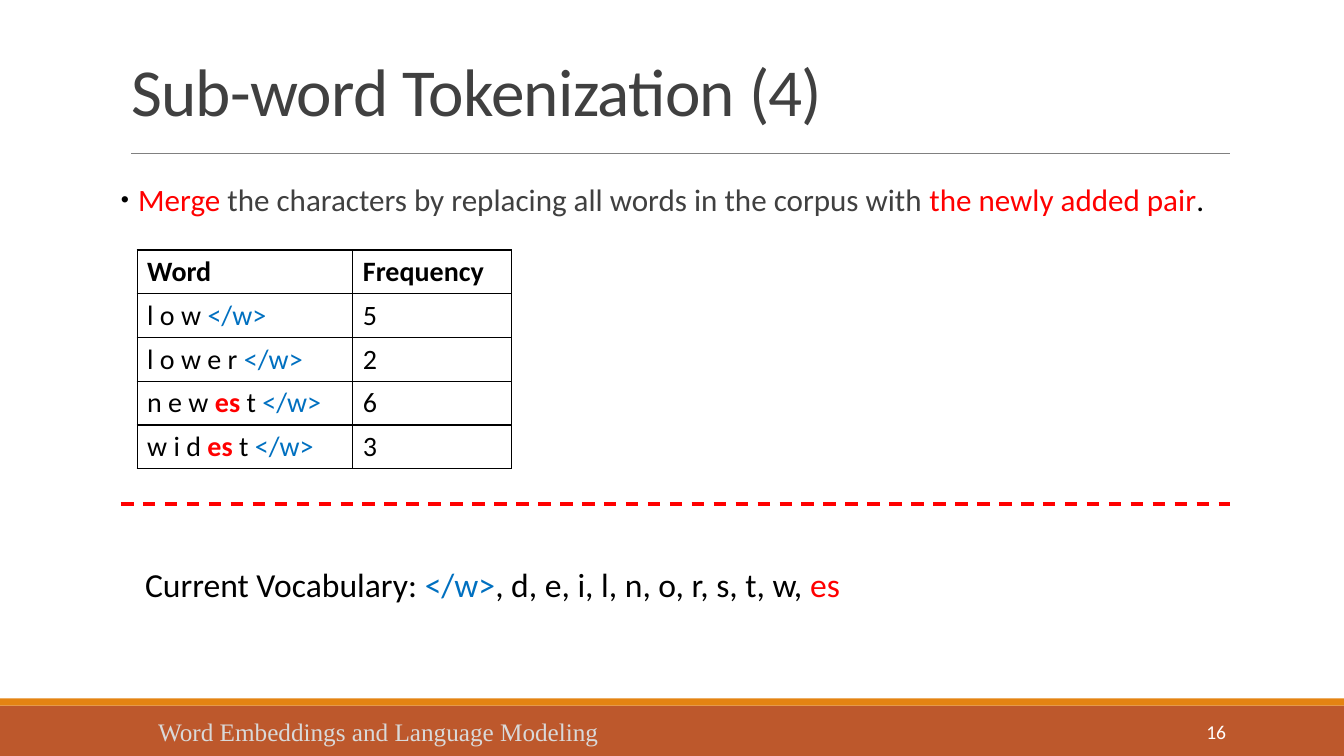
from lxml import etree
from pptx import Presentation
from pptx.dml.color import RGBColor
from pptx.enum.dml import MSO_LINE
from pptx.enum.shapes import MSO_CONNECTOR, MSO_SHAPE
from pptx.enum.text import MSO_ANCHOR, MSO_AUTO_SIZE, PP_ALIGN
from pptx.oxml.ns import qn
from pptx.util import Inches, Pt

STRAIGHT, RECT, DASH = MSO_CONNECTOR.STRAIGHT, MSO_SHAPE.RECTANGLE, MSO_LINE.DASH
TOP, MIDDLE = MSO_ANCHOR.TOP, MSO_ANCHOR.MIDDLE
LEFT, RIGHT = PP_ALIGN.LEFT, PP_ALIGN.RIGHT
NO_FIT = MSO_AUTO_SIZE.NONE

COLORS = {
    "black": "000000", "white": "FFFFFF", "grey": "404040", "rule": "808080",
    "pale": "D9D9D9", "red": "FF0000", "blue": "0070C0",
    "rust": "BD582C", "orange": "E48312",
}
END = ("</w>", "blue")
ES = ("es", "red", True)
WORDS = [
    ([("Word", "black", True)], [("Frequency", "black", True)]),
    ([("l o w ", "black"), END], [("5", "black")]),
    ([("l o w e r ", "black"), END], [("2", "black")]),
    ([("n e w ", "black"), ES, (" t ", "black"), END], [("6", "black")]),
    ([("w i d ", "black"), ES, (" t ", "black"), END], [("3", "black")]),
]


def color(name):
    return RGBColor.from_string(COLORS[name])


def add_runs(p, parts, size, font="Calibri"):
    """Each part is (text, colour name, optional bold)."""
    for text, tint, *bold in parts:
        r = p.add_run()
        r.text = text
        r.font.size, r.font.name = Pt(size), font
        r.font.bold = bool(bold)
        r.font.color.rgb = color(tint)


def add_text(s, box, parts, size, font="Calibri", align=LEFT, anchor=TOP):
    tf = s.shapes.add_textbox(*map(Inches, box)).text_frame
    tf.word_wrap = True
    tf.vertical_anchor = anchor
    p = tf.paragraphs[0]
    p.alignment = align
    add_runs(p, parts, size, font)


def add_bar(s, box, tint):
    bar = s.shapes.add_shape(RECT, *map(Inches, box))
    bar.shadow.inherit = False
    bar.fill.solid()
    bar.fill.fore_color.rgb = color(tint)
    bar.line.fill.background()


def add_rule(s, x1, x2, y, tint, width, dash=None):
    rule = s.shapes.add_connector(
        STRAIGHT, Inches(x1), Inches(y), Inches(x2), Inches(y))
    rule.line.color.rgb = color(tint)
    rule.line.width = Pt(width)
    if dash:
        rule.line.dash_style = dash
    etree.SubElement(rule._element.spPr, qn("a:effectLst"))


def place(ph, box, anchor):
    ph.left, ph.top, ph.width, ph.height = map(Inches, box)
    tf = ph.text_frame
    tf.word_wrap, tf.auto_size, tf.vertical_anchor = True, NO_FIT, anchor
    return tf


def add_title(s, box):
    x, y, w, h = box
    p = place(s.shapes.title, box, MIDDLE).paragraphs[0]
    p.alignment, p.line_spacing = LEFT, 0.85
    add_runs(p, [("Sub-word Tokenization (4)", "grey")], 48)
    p.runs[0].font._element.set("spc", "-50")
    add_rule(s, x + 0.1, x + w, y + h, "rule", 0.5)


def add_bullet(s, box):
    tf = place(s.placeholders[1], box, TOP)
    tf.margin_left = tf.margin_right = 0
    p = tf.paragraphs[0]
    p.line_spacing, p.space_before, p.space_after = 1.5, Pt(12), Pt(2)
    add_runs(p, [
        (" ", "grey"), ("Merge", "red"),
        (" the characters by replacing all words in the corpus with ", "grey"),
        ("the newly added pair", "red"), (".", "black"),
    ], 22.2)
    # Small black bullet with a hanging indent
    pPr = p._p.get_or_add_pPr()
    pPr.set("marL", str(Inches(0.1)))
    pPr.set("indent", str(Inches(-0.1)))
    tint = etree.SubElement(pPr, qn("a:buClr"))
    etree.SubElement(tint, qn("a:srgbClr"), val=COLORS["black"])
    etree.SubElement(pPr, qn("a:buSzPct"), val="75000")
    etree.SubElement(pPr, qn("a:buFont"), typeface="Arial")
    etree.SubElement(pPr, qn("a:buChar"), char="•")


def add_borders(cell):
    tcPr = cell._tc.get_or_add_tcPr()
    for side in ("a:lnL", "a:lnR", "a:lnT", "a:lnB"):
        ln = etree.SubElement(tcPr, qn(side), w=str(Pt(1)))
        fill = etree.SubElement(ln, qn("a:solidFill"))
        etree.SubElement(fill, qn("a:srgbClr"), val=COLORS["black"])


def add_word_table(s, box):
    table = s.shapes.add_table(len(WORDS), 2, *map(Inches, box)).table
    table.first_row = table.horz_banding = False
    table.columns[0].width = Inches(2.14)
    table.columns[1].width = Inches(box[2] - 2.14)
    for i, row in enumerate(WORDS):
        for j, parts in enumerate(row):
            cell = table.cell(i, j)
            add_borders(cell)
            cell.fill.background()
            add_runs(cell.text_frame.paragraphs[0], parts, 20)


def add_vocabulary(s, box):
    x, y, w, h = box
    add_rule(s, x, x + w, y, "red", 2.25, DASH)
    add_text(s, (x + 0.14, y + 0.55, 7.21, 0.5), [
        ("Current Vocabulary: ", "black"), END,
        (", d, e, i, l, n, o, r, s, t, w, ", "black"), ("es", "red"),
    ], 24)


def add_footer(s, box):
    x, y, w, h = box
    add_bar(s, (x, y + 0.07, w, h - 0.07), "rust")
    add_bar(s, (x, y, w, 0.07), "orange")
    add_text(s, (x + 10.83, y + 0.13, 1.43, 0.4), [("16", "white")], 14,
             align=RIGHT, anchor=MIDDLE)
    add_text(s, (x + 1.47, y + 0.13, 6.95, 0.4),
             [("Word Embeddings and Language Modeling", "pale")], 18,
             font="Times New Roman")


def main():
    prs = Presentation()
    prs.slide_width, prs.slide_height = Inches(13.33), Inches(7.5)
    s = prs.slides.add_slide(prs.slide_layouts[1])
    add_footer(s, (0, 6.93, 13.33, 0.57))
    add_title(s, (1.2, 0.39, 11, 1.13))
    add_bullet(s, (1.2, 1.56, 11, 1.13))
    add_word_table(s, (1.36, 2.48, 3.71, 2.17))
    add_vocabulary(s, (1.2, 5, 11, 1.05))
    prs.save("out.pptx")


if __name__ == "__main__":
    main()
